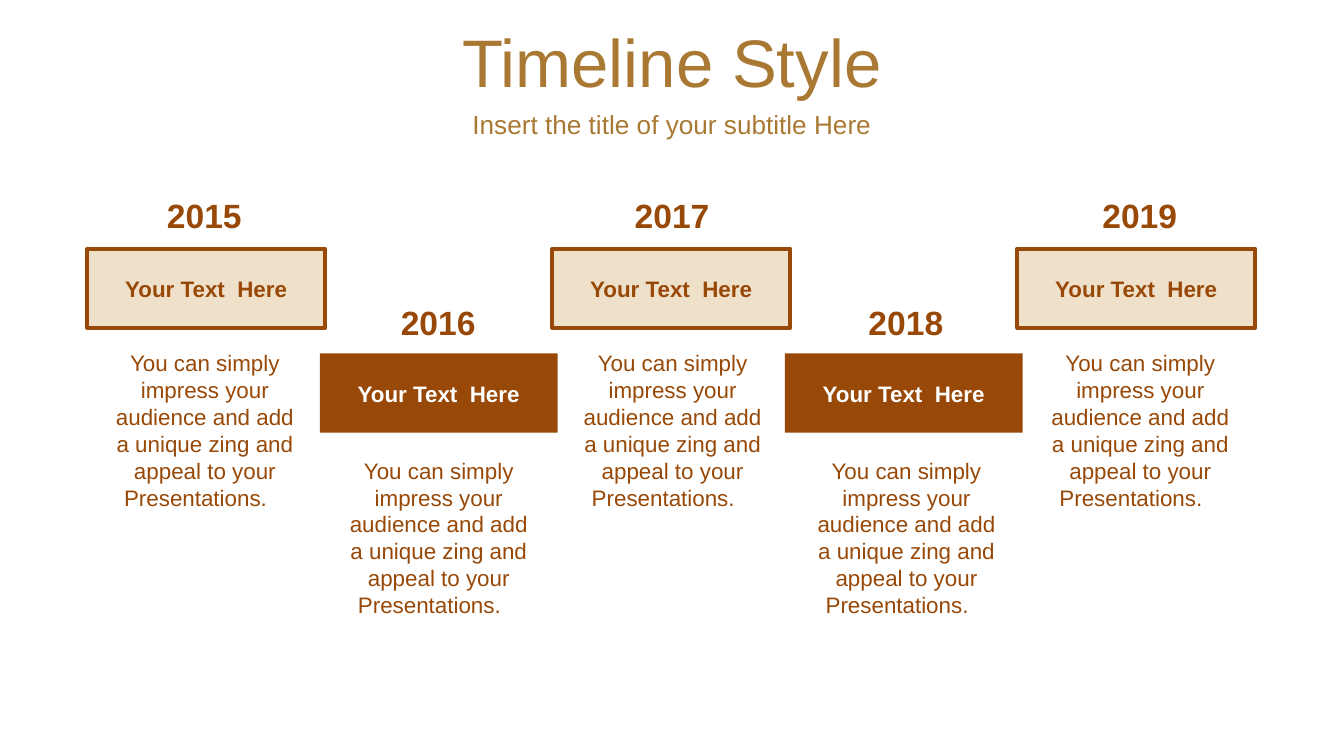
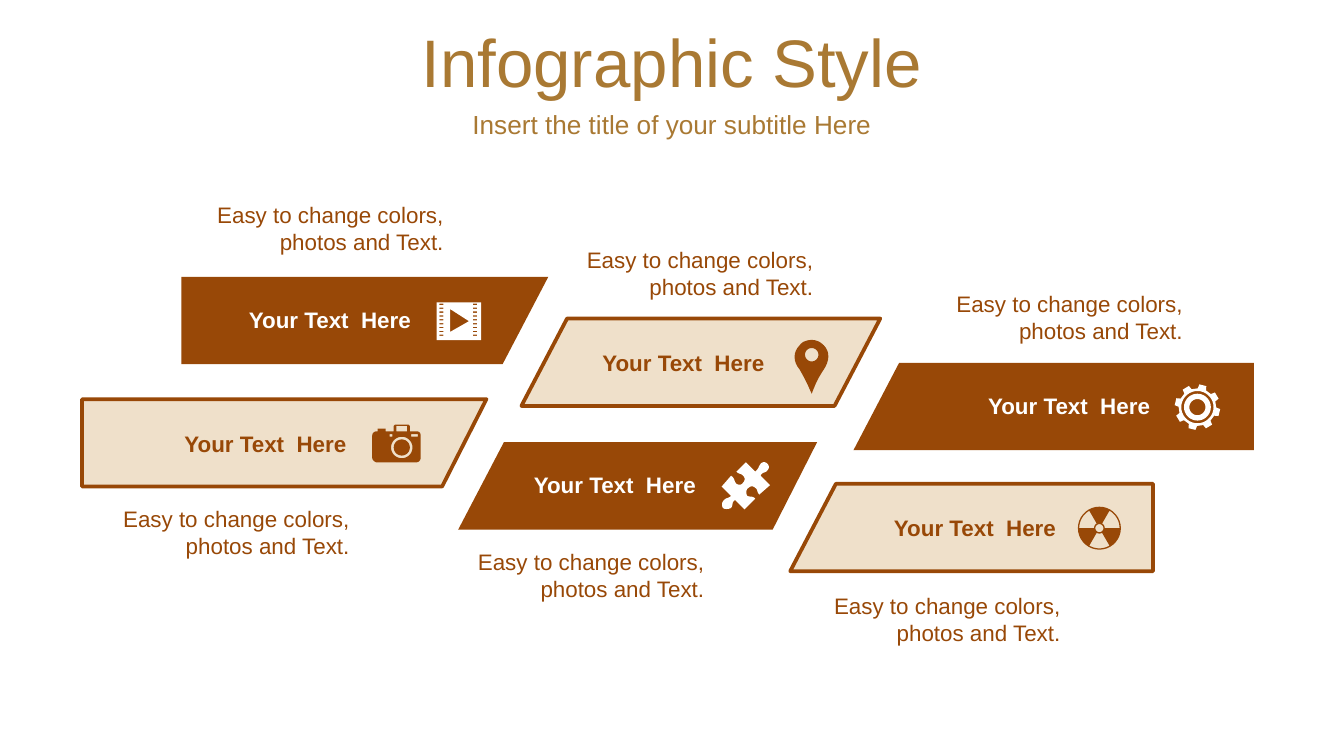
from dataclasses import dataclass
from math import cos, radians, sin

from pptx import Presentation
from pptx import util as u
from pptx.dml import color
from pptx.enum import shapes, text

BROWN, CREAM, GOLD, WHITE = "984807", "EFE0CA", "A97933", "FFFFFF"
FONT = "Arial"
SUBTITLE = "Insert the title of your subtitle Here"
LABEL = "Your Text  Here"
STORY = ("You can simply impress your audience and add a unique zing "
         "and appeal to your Presentations.   ")
CAPTION = "Easy to change colors, photos and Text."

Point = tuple[float, float]
Contour = list[Point]


@dataclass(frozen=True)
class Tone:
    fill: str
    ink: str
    outline: str | None = None


DARK = Tone(BROWN, WHITE)
LIGHT = Tone(CREAM, BROWN, BROWN)


@dataclass(frozen=True)
class Milestone:
    column: int
    year: str
    tone: Tone
    lowered: bool


@dataclass(frozen=True)
class Bar:
    left: float
    top: float
    width: float
    left_slant: float
    right_slant: float
    tone: Tone
    label_left: float
    label_top: float
    caption_left: float
    caption_top: float
    icon: list[Contour]


def rgb(value: str) -> color.RGBColor:
    return color.RGBColor.from_string(value)


def paint(shape, fill: str, outline: str | None = None) -> None:
    shape.shadow.inherit = False
    shape.fill.solid()
    shape.fill.fore_color.rgb = rgb(fill)
    if outline:
        shape.line.color.rgb = rgb(outline)
        shape.line.width = u.Pt(2)
    else:
        shape.line.fill.background()


def write(page, words: str, left: float, top: float, width: float, height: float, *,
          size: float = 12, ink: str = BROWN, bold: bool = False,
          align=text.PP_ALIGN.CENTER, heading: bool = False) -> None:
    box = page.shapes.add_textbox(*(u.Inches(value) for value in (left, top, width, height)))
    frame = box.text_frame
    frame.word_wrap = True
    para = frame.paragraphs[0]
    para.alignment = align
    if heading:
        frame.vertical_anchor = text.MSO_ANCHOR.MIDDLE
        para.space_before = u.Pt(size * 0.2)
    else:
        frame.auto_size = text.MSO_AUTO_SIZE.SHAPE_TO_FIT_TEXT
    span = para.add_run()
    span.text = words
    span.font.name = FONT
    span.font.size = u.Pt(size)
    span.font.bold = bold
    span.font.color.rgb = rgb(ink)


def draw_outline(page, contours: list[Contour], fill: str, outline: str | None = None) -> None:
    builder = None
    for contour in contours:
        points = [(u.Inches(x), u.Inches(y)) for x, y in contour]
        if builder is None:
            builder = page.shapes.build_freeform(*points[0])
        else:
            builder.move_to(*points[0])
        builder.add_line_segments(points[1:], close=True)
    paint(builder.convert_to_shape(), fill, outline)


def rectangle(left: float, top: float, width: float, height: float) -> Contour:
    right, bottom = left + width, top + height
    return [(left, top), (right, top), (right, bottom), (left, bottom)]


def arc(x: float, y: float, radius: float, start: float = 0, end: float = 360,
        steps: int = 36) -> Contour:
    angles = [radians(start + (end - start) * i / steps) for i in range(steps + 1)]
    return [(x + radius * cos(a), y + radius * sin(a)) for a in angles]


def curved(start: Point, *segments: tuple[float, ...]) -> Contour:
    points = [start]
    for segment in segments:
        if len(segment) == 2:
            points.append(segment)
            continue
        x0, y0 = points[-1]
        x1, y1, x2, y2, x3, y3 = segment
        for i in range(1, 9):
            t = i / 8
            a, b, c, d = (1 - t) ** 3, 3 * t * (1 - t) ** 2, 3 * t * t * (1 - t), t ** 3
            points.append((a * x0 + b * x1 + c * x2 + d * x3,
                           a * y0 + b * y1 + c * y2 + d * y3))
    return points


def film_icon() -> list[Contour]:
    holes = [rectangle(x, 2.26 + 0.23 * row / 8, 0.03, 0.01)
             for x in (3.27, 3.52) for row in range(9)]
    return [rectangle(3.25, 2.25, 0.33, 0.28), [(3.35, 2.3), (3.35, 2.47), (3.49, 2.39)], *holes]


def pin_icon() -> list[Contour]:
    drop = curved((6.04, 2.53), (6.07, 2.53, 6.1, 2.54, 6.13, 2.57),
                  (6.18, 2.62, 6.17, 2.69, 6.13, 2.75), (6.09, 2.81, 6.07, 2.85, 6.04, 2.93),
                  (6, 2.84, 5.99, 2.82, 5.95, 2.75), (5.9, 2.69, 5.9, 2.62, 5.95, 2.57),
                  (5.97, 2.54, 6.01, 2.53, 6.04, 2.53))
    return [drop, arc(6.04, 2.64, 0.05)]


def puzzle_icon() -> list[Contour]:
    return [curved(
        (5.71, 3.45), (5.72, 3.46, 5.73, 3.48, 5.71, 3.5), (5.7, 3.52, 5.67, 3.51, 5.66, 3.54),
        (5.73, 3.61), (5.65, 3.68), (5.63, 3.66, 5.64, 3.64, 5.62, 3.63),
        (5.6, 3.61, 5.58, 3.62, 5.57, 3.63), (5.55, 3.64, 5.55, 3.67, 5.56, 3.69),
        (5.59, 3.7, 5.6, 3.69, 5.62, 3.71), (5.54, 3.79), (5.47, 3.72),
        (5.44, 3.74, 5.46, 3.75, 5.44, 3.78), (5.42, 3.79, 5.39, 3.79, 5.38, 3.78),
        (5.37, 3.77, 5.37, 3.74, 5.38, 3.73), (5.4, 3.7, 5.42, 3.71, 5.44, 3.69),
        (5.37, 3.62), (5.44, 3.54), (5.47, 3.56, 5.46, 3.58, 5.48, 3.6),
        (5.5, 3.61, 5.52, 3.61, 5.53, 3.59), (5.54, 3.58, 5.55, 3.56, 5.53, 3.54),
        (5.51, 3.52, 5.5, 3.53, 5.48, 3.51), (5.55, 3.44), (5.62, 3.51),
        (5.65, 3.48, 5.64, 3.48, 5.66, 3.45), (5.68, 3.43, 5.7, 3.44, 5.71, 3.45))]


def camera_icon() -> list[Contour]:
    body = curved(
        (2.94, 3.16), (3.04, 3.16), (3.05, 3.17), (3.05, 3.21), (3.1, 3.21),
        (3.12, 3.21, 3.13, 3.22, 3.13, 3.24), (3.13, 3.41), (3.13, 3.42, 3.12, 3.44, 3.1, 3.44),
        (2.8, 3.44), (2.79, 3.44, 2.77, 3.42, 2.77, 3.41), (2.77, 3.24),
        (2.77, 3.22, 2.79, 3.21, 2.8, 3.21), (2.81, 3.21), (2.81, 3.19), (2.87, 3.19),
        (2.87, 3.21), (2.93, 3.21), (2.93, 3.17))
    return [body, arc(2.99, 3.33, 0.08), arc(2.99, 3.33, 0.06), rectangle(2.9, 3.23, 0.02, 0.02),
            rectangle(3.06, 3.23, 0.05, 0.02), rectangle(2.95, 3.17, 0.08, 0.04)]


def gear_icon() -> list[Contour]:
    x, y = 8.91, 3.03
    teeth = [arc(x, y, radius, middle + turn, middle + turn, 1)[0]
             for middle in range(-76, 284, 45)
             for radius, turn in ((0.14, -13), (0.17, -9), (0.17, 9), (0.14, 13))]
    return [teeth, *(arc(x, y, radius) for radius in (0.12, 0.1, 0.06))]


def radiation_icon() -> list[Contour]:
    x, y = 8.18, 3.93
    blades = [arc(x, y, 0.15, start, start + 60) + arc(x, y, 0.04, start + 60, start)
              for start in (60, 180, 300)]
    return [arc(x, y, 0.16), arc(x, y, 0.03), *blades]


MILESTONES = [Milestone(i, str(2015 + i), DARK if i % 2 else LIGHT, i % 2 == 1)
              for i in range(5)]

BARS = [
    Bar(1.35, 2.06, 2.73, 0, 0.34, DARK, 1.73, 2.23, 1.32, 1.45, film_icon()),
    Bar(0.61, 2.97, 3.01, 0, 0.33, LIGHT, 1.25, 3.15, 0.62, 3.71, camera_icon()),
    Bar(3.88, 2.37, 2.67, 0.34, 0.34, LIGHT, 4.36, 2.55, 4.07, 1.78, pin_icon()),
    Bar(3.41, 3.29, 2.67, 0.34, 0.33, DARK, 3.85, 3.46, 3.26, 4.03, puzzle_icon()),
    Bar(6.35, 2.7, 2.98, 0.34, 0, DARK, 7.23, 2.87, 6.82, 2.11, gear_icon()),
    Bar(5.88, 3.6, 2.7, 0.34, 0, LIGHT, 6.53, 3.78, 5.91, 4.36, radiation_icon()),
]


def add_page(deck, title: str):
    page = deck.slides.add_slide(deck.slide_layouts[6])
    write(page, title, 0, 0.14, 10, 0.63, size=36, ink=GOLD, heading=True)
    write(page, SUBTITLE, 0, 0.77, 10, 0.31, size=14, ink=GOLD, heading=True)
    return page


def draw_milestone(page, item: Milestone) -> None:
    box_shift, text_shift = 1.73 * item.column, 1.74 * item.column
    box_drop, text_drop = (0.78, 0.8) if item.lowered else (0, 0)
    box = page.shapes.add_shape(shapes.MSO_SHAPE.RECTANGLE, u.Inches(0.65 + box_shift),
                                u.Inches(1.85 + box_drop), u.Inches(1.77), u.Inches(0.59))
    paint(box, item.tone.fill, item.tone.outline)
    write(page, LABEL, 0.77 + box_shift, 2 + box_drop, 1.53, 0.3, ink=item.tone.ink, bold=True)
    write(page, item.year, 1.01 + text_shift, 1.4 + text_drop, 1.02, 0.4, size=18, bold=True)
    write(page, STORY, 0.75 + text_shift, 2.55 + text_drop, 1.55, 1.31)


def draw_bar(page, bar: Bar) -> None:
    right, bottom = bar.left + bar.width, bar.top + 0.65
    edge = [(bar.left + bar.left_slant, bar.top), (right, bar.top),
            (right - bar.right_slant, bottom), (bar.left, bottom)]
    draw_outline(page, [edge], bar.tone.fill, bar.tone.outline)
    draw_outline(page, bar.icon, bar.tone.ink)
    write(page, LABEL, bar.label_left, bar.label_top, 1.45, 0.3, ink=bar.tone.ink, bold=True)
    write(page, CAPTION, bar.caption_left, bar.caption_top, 2.08, 0.5,
          align=text.PP_ALIGN.RIGHT)


def main() -> None:
    deck = Presentation()
    deck.slide_width = u.Inches(10)
    deck.slide_height = u.Inches(10 * 9 / 16)
    timeline = add_page(deck, "Timeline Style")
    for item in sorted(MILESTONES, key=lambda entry: not entry.lowered):
        draw_milestone(timeline, item)
    infographic = add_page(deck, "Infographic Style")
    for bar in BARS:
        draw_bar(infographic, bar)
    deck.save("out.pptx")


if __name__ == "__main__":
    main()
